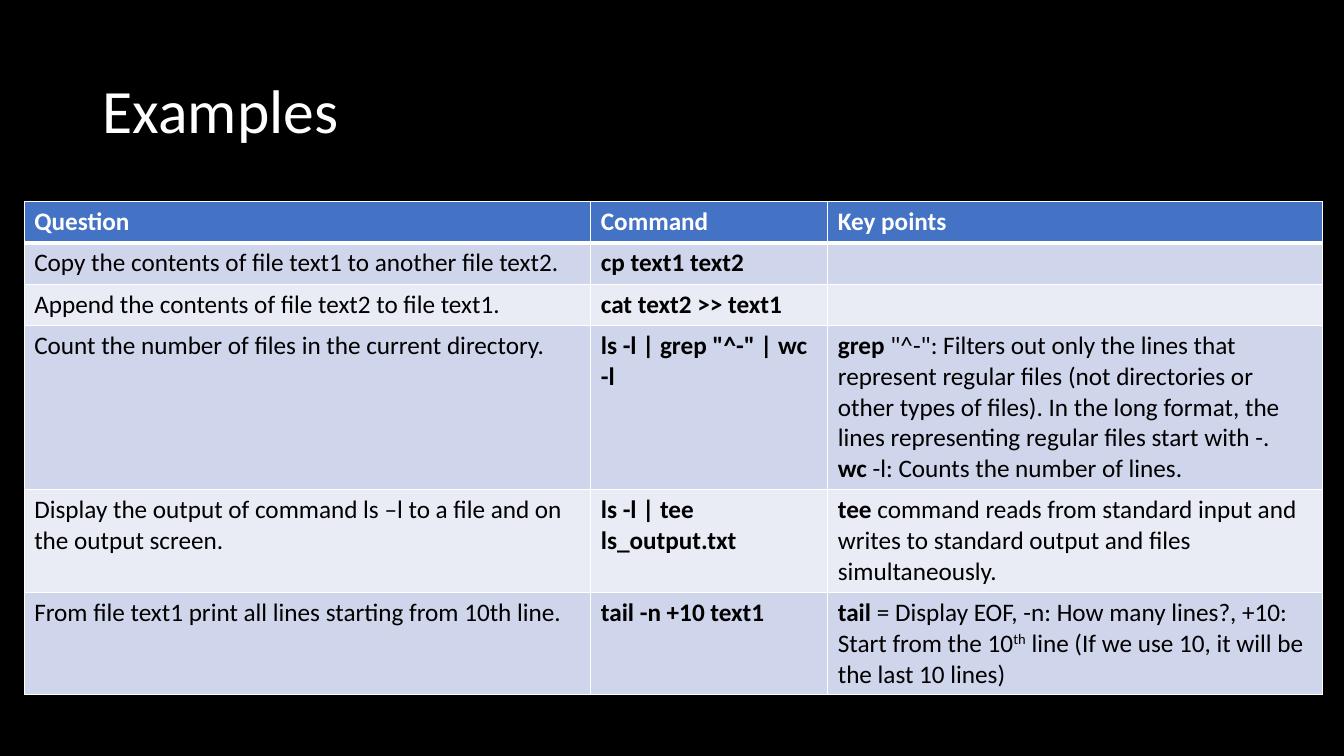
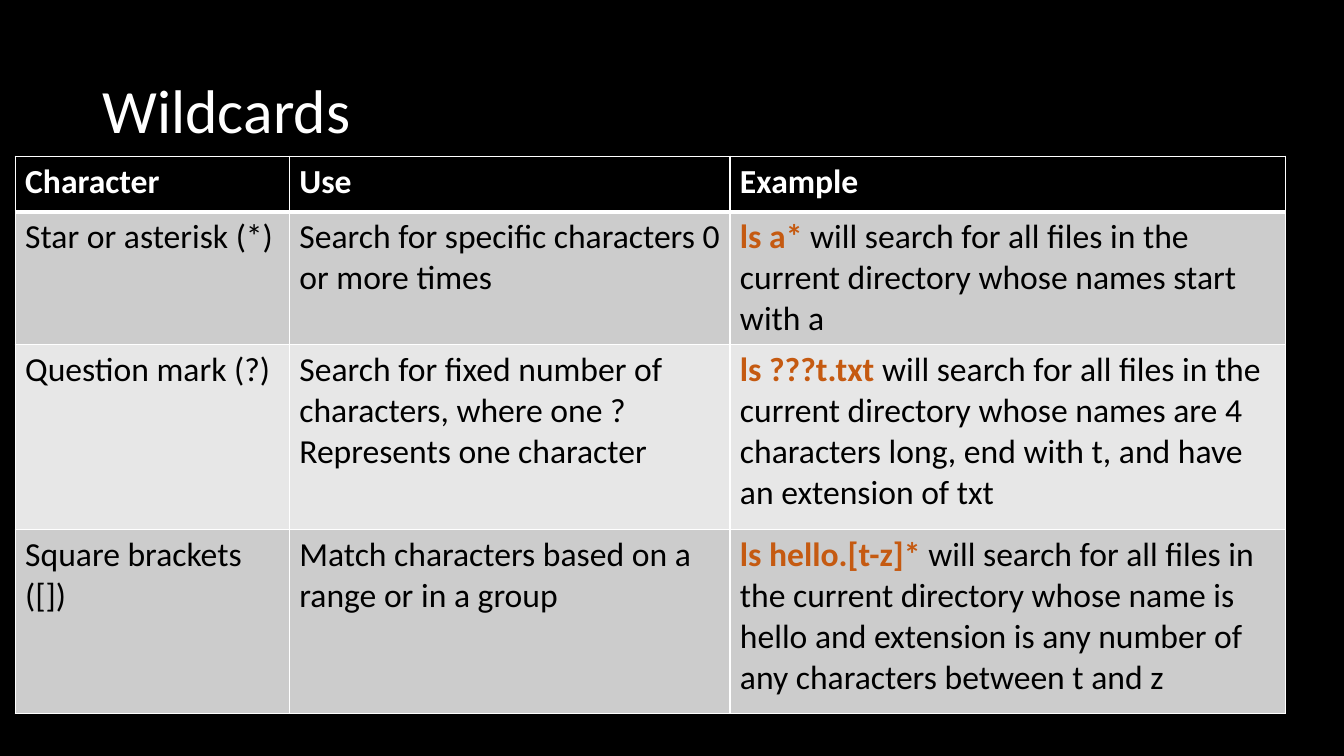
from lxml.etree import SubElement
from pptx import Presentation
from pptx.dml.color import RGBColor
from pptx.enum.text import MSO_ANCHOR as Anchor
from pptx.oxml.ns import qn
from pptx.util import Emu, Pt

PX = 9144  # EMU in one px, 100 px to the inch
FONT = "Calibri"
BLACK = RGBColor(0x00, 0x00, 0x00)
WHITE = RGBColor(0xFF, 0xFF, 0xFF)
BLUE = RGBColor(0x44, 0x72, 0xC4)
BLUE_BANDS = (RGBColor(0xCF, 0xD5, 0xEA), RGBColor(0xE9, 0xEB, 0xF5))
GREY_BANDS = (RGBColor(0xCC, 0xCC, 0xCC), RGBColor(0xE7, 0xE7, 0xE7))
ORANGE = RGBColor(0xC5, 0x5A, 0x11)
TITLE_BOX = (92, 40, 1150, 145)


def px(length):
    return Emu(length * PX)


# Spans: plain text is a string, styled text is a pair of text and style
def bold(text):
    return text, "bold"


def accent(text):
    return text, "accent"


def superscript(text):
    return text, "superscript"


def add_page(deck, title):
    page = deck.slides.add_slide(deck.slide_layouts[6])
    page.background.fill.solid()
    page.background.fill.fore_color.rgb = BLACK
    box = page.shapes.add_textbox(*map(px, TITLE_BOX))
    frame = box.text_frame
    frame.word_wrap = True
    frame.vertical_anchor = Anchor.MIDDLE
    para = frame.paragraphs[0]
    para.text = title
    para.line_spacing = 0.9
    set_font(para, 44, WHITE)
    return page


def set_font(para, size, color):
    para.font.name = FONT
    para.font.size = Pt(size)
    para.font.color.rgb = color


def set_borders(cell, bottom_width):
    properties = cell._tc.get_or_add_tcPr()
    for side, width in (("L", 1), ("R", 1), ("T", 1), ("B", bottom_width)):
        line = SubElement(properties, qn(f"a:ln{side}"), w=str(Pt(width)))
        fill = SubElement(line, qn("a:solidFill"))
        SubElement(fill, qn("a:srgbClr"), val=str(WHITE))


def fill_cell(cell, paragraphs, size, color, fill, is_header):
    set_borders(cell, 3 if is_header else 1)
    cell.fill.solid()
    cell.fill.fore_color.rgb = fill
    for index, spans in enumerate(paragraphs):
        frame = cell.text_frame
        para = frame.add_paragraph() if index else frame.paragraphs[0]
        set_font(para, size, color)
        for item in spans:
            text, style = (item, None) if isinstance(item, str) else item
            span = para.add_run()
            span.text = text
            span.font.bold = is_header or style in ("bold", "accent")
            if style == "accent":
                span.font.color.rgb = ORANGE
            elif style == "superscript":
                span.font._element.set("baseline", "30000")


def add_grid(page, left, top, widths, heights, header, rows, size, header_fill, bands):
    """Each cell is a list of paragraphs, each paragraph a list of spans."""
    box = (left, top, sum(widths), sum(heights))
    table = page.shapes.add_table(len(heights), len(widths), *map(px, box)).table
    for column, width in zip(table.columns, widths):
        column.width = px(width)
    for row, height in zip(table.rows, heights):
        row.height = px(height)
    # Header row
    for cell, name in zip(table.rows[0].cells, header):
        fill_cell(cell, [[name]], size, WHITE, header_fill, True)
    # Banded body rows
    for index, contents in enumerate(rows):
        for cell, paragraphs in zip(table.rows[index + 1].cells, contents):
            fill_cell(cell, paragraphs, size, BLACK, bands[index % 2], False)


def add_examples(deck):
    page = add_page(deck, "Examples")
    examples = [
        ("Copy the contents of file text1 to another file text2.", "cp text1 text2", [[]]),
        ("Append the contents of file text2 to file text1.", "cat text2 >> text1", [[]]),
        ("Count the number of files in the current directory.",
         'ls -l | grep "^-" | wc -l',
         [[bold("grep"),
           ' "^-": Filters out only the lines that represent regular files (not directories '
           "or other types of files). In the long format, the lines representing regular "
           "files start with -."],
          [bold("wc"), " -l: Counts the number of lines."]]),
        ("Display the output of command ls –l to a file and on the output screen.",
         "ls -l | tee ls_output.txt",
         [[bold("tee "),
           "command reads from standard input and writes to standard output and files "
           "simultaneously."]]),
        ("From file text1 print all lines starting from 10th line.",
         "tail -n +10 text1",
         [[bold("tail"), " = Display EOF, -n: How many lines?, +10: Start from the 10",
           superscript("th"), " line (If we use 10, it will be the last 10 lines)"]]),
    ]
    rows = [([[question]], [[bold(command)]], points)
            for question, command, points in examples]
    add_grid(page, 24, 200, (562, 235, 491), (41, 41, 41, 163, 102, 101),
             ("Question", "Command", "Key points"), rows, 18, BLUE, BLUE_BANDS)


def add_wildcards(deck):
    page = add_page(deck, "Wildcards")
    wildcards = [
        ("Star or asterisk (*)", "Search for specific characters 0 or more times", "ls a*",
         " will search for all files in the current directory whose names start with a"),
        ("Question mark (?)",
         "Search for fixed number of characters, where one ? Represents one character",
         "ls ???t.txt",
         " will search for all files in the current directory whose names are 4 characters "
         "long, end with t, and have an extension of txt"),
        ("Square brackets ([])", "Match characters based on a range or in a group",
         "ls hello.[t-z]*",
         " will search for all files in the current directory whose name is hello and "
         "extension is any number of any characters between t and z"),
    ]
    rows = [([[character]], [[use]], [[accent(command), effect]])
            for character, use, command, effect in wildcards]
    add_grid(page, 15, 155, (272, 437, 551), (55, 132, 183, 183),
             ("Character", "Use", "Example"), rows, 24, BLACK, GREY_BANDS)


def main():
    deck = Presentation()
    deck.slide_width, deck.slide_height = px(1333), px(750)
    add_examples(deck)
    add_wildcards(deck)
    deck.save("out.pptx")


if __name__ == "__main__":
    main()
